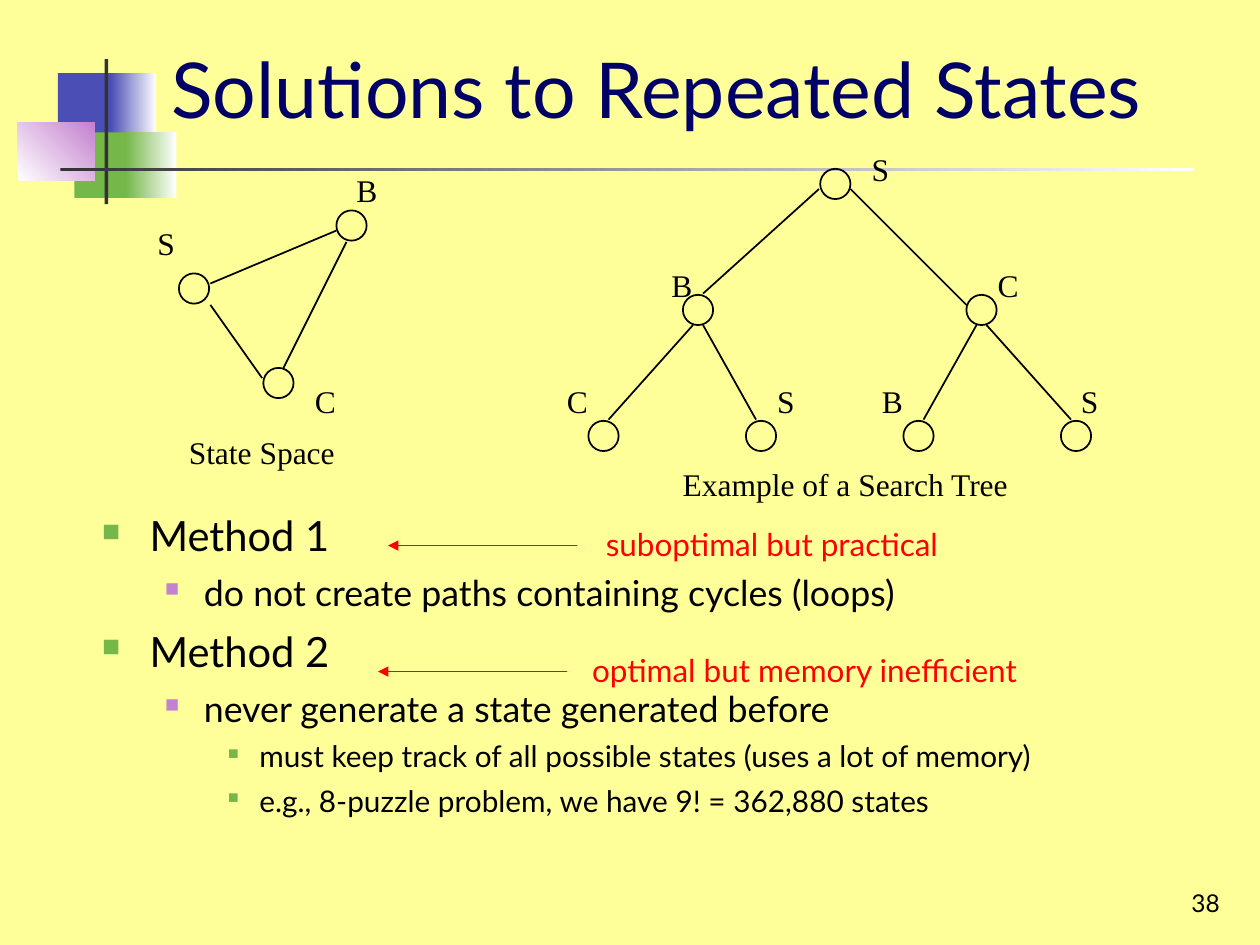
from lxml.etree import SubElement
from pptx import Presentation
from pptx.dml.color import RGBColor
from pptx.enum.shapes import MSO_CONNECTOR as Connector, MSO_SHAPE as Shape
from pptx.enum.text import MSO_ANCHOR as Anchor, MSO_AUTO_SIZE as AutoSize, PP_ALIGN as Align
from pptx.oxml.ns import qn
from pptx.util import Inches, Pt

COLORS = {
    "paper": "FFFF99", "ink": "000000", "title": "000066", "note": "FF0000",
    "blue": "4B4EB5", "green": "76B749", "pink": "C481CF", "bar": "333333", "white": "FFFFFF",
}
SANS, SERIF = "Lato", "Times New Roman"
NODE_SIZE = 0.24
LABEL_SIZE = (0.37, 0.4)

DECORATION = [
    ((0.46, 0.58, 0.48, 0.52), "blue", None, 0),
    ((0.88, 0.58, 0.36, 0.52), "blue", "white", 0),
    ((0.59, 1.05, 0.46, 0.52), "green", None, 0),
    ((1, 1.05, 0.4, 0.52), "green", "white", 0),
    ((0.14, 0.97, 0.61, 0.46), "white", "pink", 45),
    ((0.83, 0.47, 0.03, 1.15), "bar", None, 0),
    ((0.48, 1.33, 9, 0.03), "bar", "white", 0),
]

STATE_SPACE = {
    "nodes": [
        ("S", (1.42, 2.17), (1.15, 1.73)),
        ("B", (2.67, 1.67), (2.73, 1.31)),
        ("C", (2.09, 2.92), (2.4, 2.98)),
    ],
    "edges": [
        ((1.67, 2.25), (2.67, 1.83)),
        ((2.75, 1.92), (2.25, 2.92)),
        ((1.67, 2.42), (2.08, 3)),
    ],
    "caption": ("State Space", (1.4, 3.39, 1.36, 0.4)),
}

SEARCH_TREE = {
    "nodes": [
        ("S", (6.51, 1.34), (6.82, 1.14)),
        ("B", (5.42, 2.34), (5.23, 2.06)),
        ("C", (7.67, 2.34), (7.82, 2.06)),
        ("C", (4.67, 3.34), (4.4, 2.98)),
        ("S", (5.92, 3.34), (6.07, 2.98)),
        ("B", (7.17, 3.34), (6.9, 2.98)),
        ("S", (8.42, 3.34), (8.48, 2.98)),
    ],
    "edges": [
        ((6.5, 1.5), (5.58, 2.33)),
        ((6.75, 1.5), (7.67, 2.42)),
        ((5.5, 2.58), (4.83, 3.33)),
        ((5.58, 2.58), (6, 3.33)),
        ((7.75, 2.58), (7.33, 3.33)),
        ((7.83, 2.58), (8.5, 3.33)),
    ],
    "caption": ("Example of a Search Tree", (5.32, 3.64, 2.79, 0.4)),
}

METHODS = [
    (0, "Method 1"),
    (1, "do not create paths containing cycles (loops)"),
    (0, "Method 2"),
    (1, "never generate a state generated before"),
    (2, "must keep track of all possible states (uses a lot of memory)"),
    (2, "e.g., 8-puzzle problem, we have 9! = 362,880 states"),
]
LEVELS = [
    {"size": 23.8, "before": 7, "left": 0.38, "hang": 0.38, "bullet": "green", "scale": 60},
    {"size": 20.4, "before": 6, "left": 0.81, "hang": 0.31, "bullet": "pink", "scale": 55},
    {"size": 17, "before": 5, "left": 1.25, "hang": 0.25, "bullet": "green", "scale": 50},
]

NOTES = [
    ("suboptimal but practical", (4.71, 4.12, 3.05, 0.4), (4.58, 4.33), (3.08, 4.33)),
    ("optimal but memory inefficient", (4.6, 5.12, 3.85, 0.4), (4.5, 5.33), (3, 5.33)),
]


def rgb(name):
    return RGBColor.from_string(COLORS[name])


def inches(lengths):
    return [Inches(length) for length in lengths]


def write(paragraph, text, size=18, font=SANS, color="ink", align=Align.LEFT):
    paragraph.text = text
    paragraph.alignment = align
    paragraph.font.size = Pt(size)
    paragraph.font.name = font
    paragraph.font.color.rgb = rgb(color)


def add_text(slide, text, box, wrap=False, anchor=Anchor.TOP, **style):
    frame = slide.shapes.add_textbox(*inches(box)).text_frame
    frame.word_wrap = wrap
    frame.vertical_anchor = anchor
    write(frame.paragraphs[0], text, **style)


def add_block(slide, box, color, fade_to, angle):
    block = slide.shapes.add_shape(Shape.RECTANGLE, *inches(box))
    block.shadow.inherit = False
    block.line.fill.background()
    if fade_to:
        block.fill.gradient()
        block.fill.gradient_angle = angle
        for stop, name, position in zip(block.fill.gradient_stops, (color, fade_to), (0, 1)):
            stop.color.rgb = rgb(name)
            stop.position = position
    else:
        block.fill.solid()
        block.fill.fore_color.rgb = rgb(color)


def add_node(slide, corner):
    node = slide.shapes.add_shape(Shape.OVAL, *inches((*corner, NODE_SIZE, NODE_SIZE)))
    node.shadow.inherit = False
    node.fill.background()
    node.line.color.rgb = rgb("ink")
    node.line.width = Pt(1)


def add_line(slide, start, end, color="ink", width=1, arrow=False):
    line = slide.shapes.add_connector(Connector.STRAIGHT, *inches((*start, *end)))
    line.line.color.rgb = rgb(color)
    line.line.width = Pt(width)
    if arrow:
        SubElement(line.line._get_or_add_ln(), qn("a:tailEnd"), type="triangle")
    SubElement(line._element.spPr, qn("a:effectLst"))


def add_graph(slide, graph):
    for start, end in graph["edges"]:
        add_line(slide, start, end)
    for state, corner, label_corner in graph["nodes"]:
        add_node(slide, corner)
        add_text(slide, state, (*label_corner, *LABEL_SIZE), font=SERIF)
    caption, box = graph["caption"]
    add_text(slide, caption, box, font=SERIF)


def add_bullet(paragraph, level):
    properties = paragraph._p.get_or_add_pPr()
    properties.set("marL", str(Inches(level["left"])))
    properties.set("indent", str(-Inches(level["hang"])))
    color = SubElement(properties, qn("a:buClr"))
    SubElement(color, qn("a:srgbClr"), val=COLORS[level["bullet"]])
    SubElement(properties, qn("a:buSzPct"), val=str(level["scale"] * 1000))
    SubElement(properties, qn("a:buChar"), char="■")


def add_methods(slide):
    frame = slide.shapes.add_textbox(*inches((0.71, 4, 8.58, 3.08))).text_frame
    frame.word_wrap = True
    for index, (depth, text) in enumerate(METHODS):
        level = LEVELS[depth]
        paragraph = frame.add_paragraph() if index else frame.paragraphs[0]
        paragraph.level = depth
        add_bullet(paragraph, level)
        paragraph.space_before = Pt(level["before"] if index else 0)
        write(paragraph, text, size=level["size"])


def set_title(slide, text):
    title = slide.shapes.title
    title.left, title.top, title.width, title.height = inches((1.26, 0.23, 8.52, 0.93))
    title.text_frame.auto_size = AutoSize.NONE
    title.text_frame.vertical_anchor = Anchor.MIDDLE
    write(title.text_frame.paragraphs[0], text, size=44, color="title")


def main():
    deck = Presentation()
    deck.slide_width, deck.slide_height = inches((10, 7.5))
    slide = deck.slides.add_slide(deck.slide_layouts[5])
    slide.background.fill.solid()
    slide.background.fill.fore_color.rgb = rgb("paper")
    for block in DECORATION:
        add_block(slide, *block)
    set_title(slide, "Solutions to Repeated States")
    add_methods(slide)
    for graph in (STATE_SPACE, SEARCH_TREE):
        add_graph(slide, graph)
    for text, box, start, end in NOTES:
        add_line(slide, start, end, color="note", width=0.75, arrow=True)
        add_text(slide, text, box, color="note")
    add_text(slide, "38", (7.7, 6.83, 2.08, 0.5), wrap=True, anchor=Anchor.BOTTOM,
             size=14, align=Align.RIGHT)
    deck.save("out.pptx")


if __name__ == "__main__":
    main()
